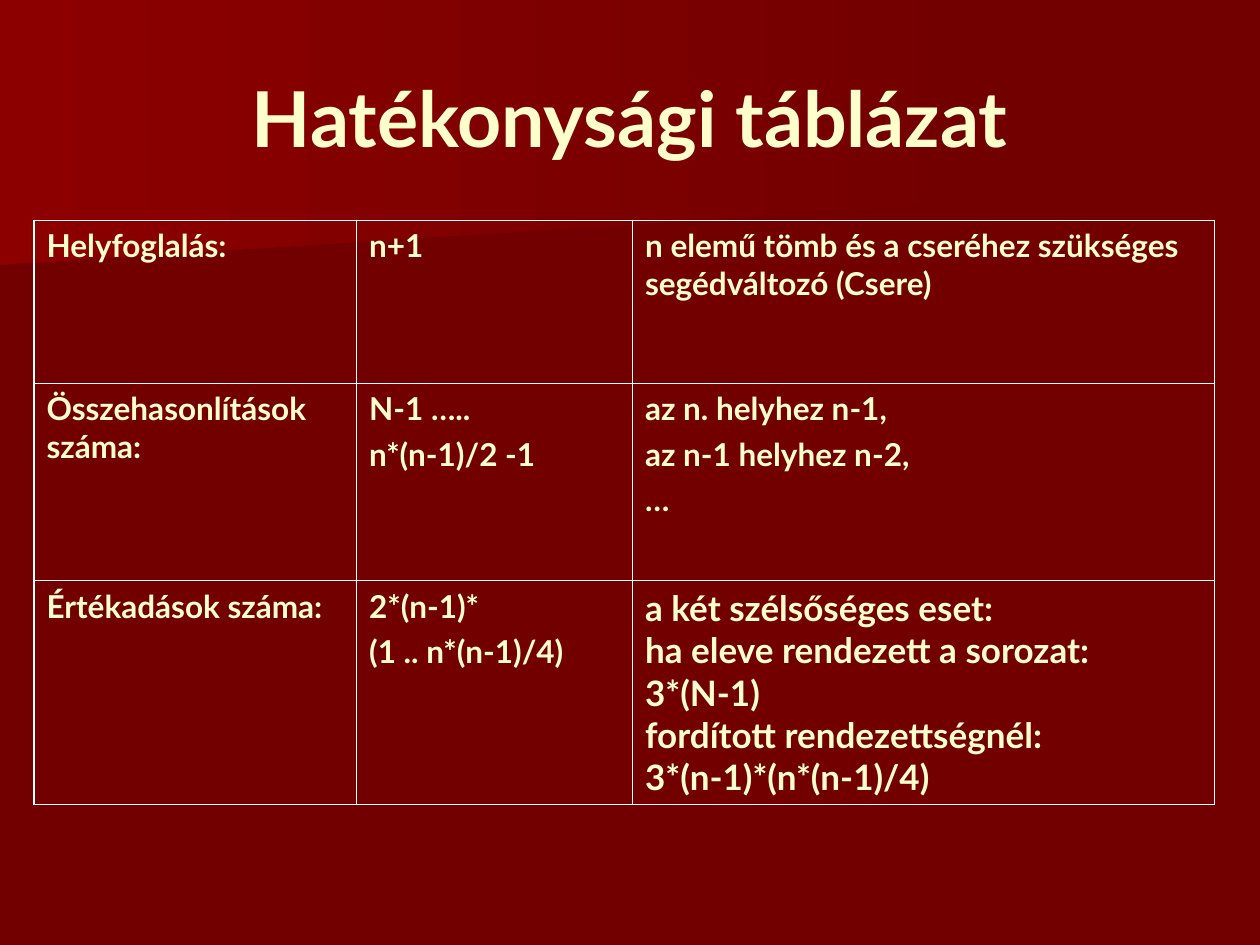
import pptx
import pptx.dml.color
import pptx.enum.text
import pptx.oxml
import pptx.oxml.ns
import pptx.util

RGBColor = pptx.dml.color.RGBColor
DARK_RED = RGBColor(0x72, 0x00, 0x00)
DEEP_RED = RGBColor(0x71, 0x00, 0x00)
BRIGHT_RED = RGBColor(0x8C, 0x00, 0x00)
CREAM = RGBColor(0xFF, 0xFF, 0xCC)
WHITE = RGBColor(0xFF, 0xFF, 0xFF)

LOWER_BAND = [(0, 10.1), (77.9, 10.1), (77.8, 15.3), (0, 21.7)]
UPPER_BAND = [(0, 0), (79.2, 0), (79.2, 16.2), (0, 20.8)]
COLUMN_WIDTHS = [25.6, 21.9, 46.2]
ROW_HEIGHTS = [12.9, 15.7, 17.7]
EFFICIENCY = [
    ["Helyfoglalás:", "n+1", "n elemű tömb és a cseréhez szükséges segédváltozó (Csere)"],
    ["Összehasonlítások száma:", "N-1 …..\nn*(n-1)/2 -1", "az n. helyhez n-1,\naz n-1 helyhez n-2,\n…"],
    ["Értékadások száma:", "2*(n-1)*\n(1 .. n*(n-1)/4)",
     "a két szélsőséges eset:\vha eleve rendezett a sorozat: 3*(N-1)"
     "\vfordított rendezettségnél:\v3*(n-1)*(n*(n-1)/4)"],
]


class SlideBuilder:
    """Holds the style and the current slide, measured on a grid of 100 columns by 75 rows."""

    font_name = "Lato"
    outer_border = 1.08
    inner_border = 0.45

    def __init__(self, deck):
        self.column = deck.slide_width / 100
        self.row = deck.slide_height / 75
        self.slide = deck.slides.add_slide(deck.slide_layouts[5])
        background = self.slide.background.fill
        background.solid()
        background.fore_color.rgb = DARK_RED

    def place(self, left, top, width, height):
        return (round(left * self.column), round(top * self.row),
                round(width * self.column), round(height * self.row))

    def format_text(self, paragraph, size):
        for run in paragraph.runs:
            run.font.name = self.font_name
            run.font.size = pptx.util.Pt(size)
            run.font.bold = True
            run.font.color.rgb = CREAM

    def band(self, corners, right_color, left_color):
        start, *others = corners
        outline = self.slide.shapes.build_freeform(*start, scale=(self.column, self.row))
        outline.add_line_segments(others, close=True)
        band = outline.convert_to_shape()
        band.shadow.inherit = False
        band.line.fill.background()
        band.fill.gradient()
        band.fill.gradient_angle = 180
        for stop, color in zip(band.fill.gradient_stops, (right_color, left_color)):
            stop.color.rgb = color
        for position, stop in enumerate(band.fill.gradient_stops):
            stop.position = position

    def title(self, wording, *area):
        title = self.slide.shapes.title
        title.left, title.top, title.width, title.height = self.place(*area)
        frame = title.text_frame
        frame.text = wording
        frame.vertical_anchor = pptx.enum.text.MSO_ANCHOR.MIDDLE
        frame.paragraphs[0].alignment = pptx.enum.text.PP_ALIGN.CENTER
        self.format_text(frame.paragraphs[0], 44)
        self.slide.shapes._spTree.append(title._element)

    def border(self, cell, side, points):
        cell._tc.get_or_add_tcPr().append(pptx.oxml.parse_xml(
            f'<a:ln{side} {pptx.oxml.ns.nsdecls("a")} w="{pptx.util.Pt(points)}">'
            f'<a:solidFill><a:srgbClr val="{WHITE}"/></a:solidFill></a:ln{side}>'))

    def table(self, left, top, widths, heights, contents):
        area = self.place(left, top, sum(widths), sum(heights))
        table = self.slide.shapes.add_table(len(heights), len(widths), *area).table
        table.first_row = table.horz_banding = False
        for column, width in zip(table.columns, widths):
            column.width = round(width * self.column)
        for row, height in zip(table.rows, heights):
            row.height = round(height * self.row)
        last_row, last_column = len(heights) - 1, len(widths) - 1
        for r, wordings in enumerate(contents):
            for c, wording in enumerate(wordings):
                cell = table.cell(r, c)
                edges = {"L": c == 0, "R": c == last_column, "T": r == 0, "B": r == last_row}
                for side, is_outer in edges.items():
                    self.border(cell, side, self.outer_border if is_outer else self.inner_border)
                cell.fill.background()
                cell.text_frame.text = wording
                size = 20 if (r, c) == (last_row, last_column) else 18
                for index, paragraph in enumerate(cell.text_frame.paragraphs):
                    paragraph.space_before = pptx.util.Pt(4.5 if index else 0)
                    self.format_text(paragraph, size)


def main():
    deck = pptx.Presentation()
    deck.slide_width = pptx.util.Inches(10)
    deck.slide_height = pptx.util.Inches(7.5)
    builder = SlideBuilder(deck)
    builder.band(LOWER_BAND, DARK_RED, DEEP_RED)
    builder.band(UPPER_BAND, DARK_RED, BRIGHT_RED)
    builder.title("Hatékonysági táblázat", 5, 3, 90, 12.5)
    builder.table(2.7, 17.5, COLUMN_WIDTHS, ROW_HEIGHTS, EFFICIENCY)
    deck.save("out.pptx")


if __name__ == "__main__":
    main()
